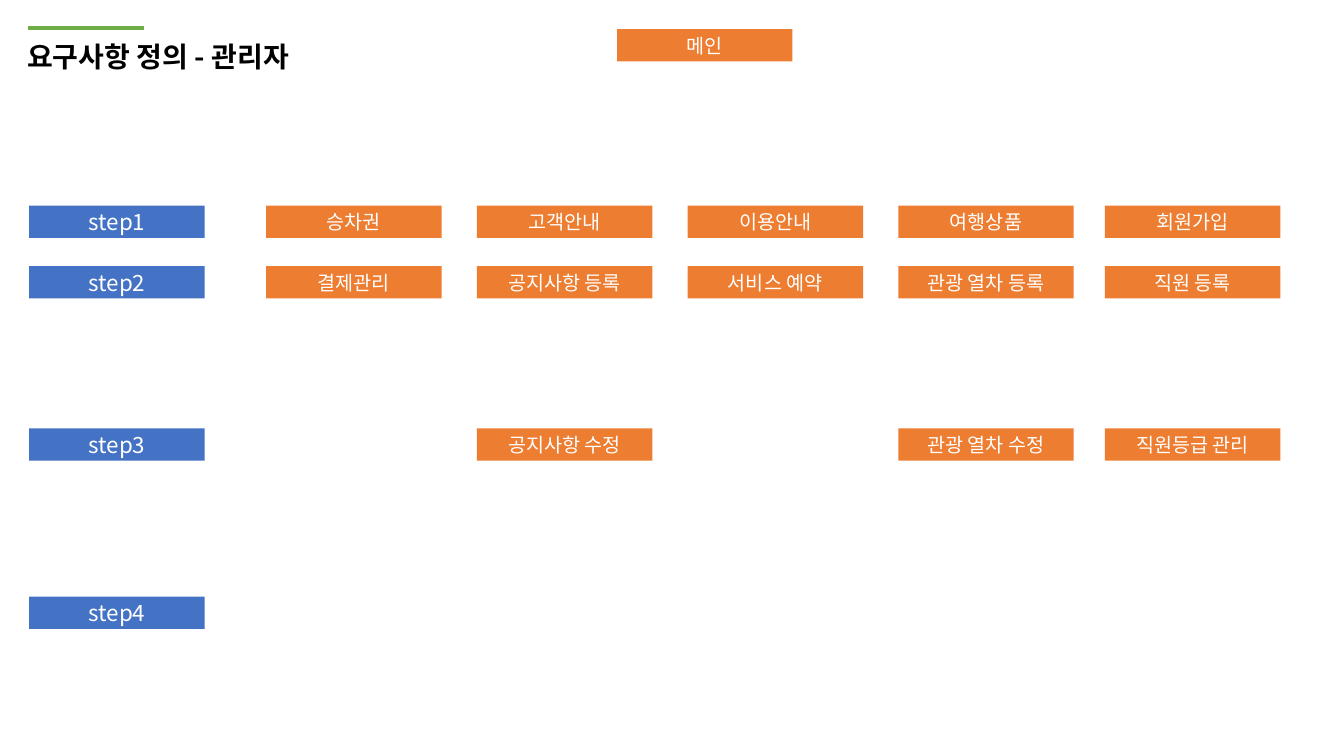
import pptx
import pptx.util
import pptx.dml.color
import pptx.enum.shapes
import pptx.enum.text
import pptx.oxml.ns
import lxml.etree

Inches = pptx.util.Inches
RGBColor = pptx.dml.color.RGBColor

FONT = "Noto Sans CJK KR"
BLACK = RGBColor(0x00, 0x00, 0x00)
WHITE = RGBColor(0xFF, 0xFF, 0xFF)
GREEN = RGBColor(0x70, 0xAD, 0x47)
BLUE = RGBColor(0x44, 0x72, 0xC4)
ORANGE = RGBColor(0xED, 0x7D, 0x31)


def style_text(frame, size, color, bold=False):
    run = frame.paragraphs[0].runs[0]
    run.font.size = pptx.util.Pt(size)
    run.font.bold = bold
    run.font.color.rgb = color
    run.font.name = FONT
    east_asian = lxml.etree.SubElement(run.font._element, pptx.oxml.ns.qn("a:ea"))
    east_asian.set("typeface", FONT)


def add_box(left, top, label, fill, size):
    box = slide.shapes.add_shape(
        pptx.enum.shapes.MSO_SHAPE.RECTANGLE,
        Inches(left), Inches(top), Inches(1.74), Inches(0.32))
    box.shadow.inherit = False
    box.fill.solid()
    box.fill.fore_color.rgb = fill
    box.line.fill.background()
    frame = box.text_frame
    frame.text = label
    frame.word_wrap = True
    frame.vertical_anchor = pptx.enum.text.MSO_ANCHOR.MIDDLE
    frame.paragraphs[0].alignment = pptx.enum.text.PP_ALIGN.CENTER
    style_text(frame, size, WHITE)


deck = pptx.Presentation()
deck.slide_width = Inches(13.33)
deck.slide_height = Inches(7.5)
slide = deck.slides.add_slide(deck.slide_layouts[6])

title = slide.shapes.add_textbox(Inches(0.17), Inches(0.34), Inches(3.98), Inches(0.44))
title.text_frame.text = "요구사항 정의 - 관리자"
title.text_frame.word_wrap = True
title.text_frame.auto_size = pptx.enum.text.MSO_AUTO_SIZE.SHAPE_TO_FIT_TEXT
style_text(title.text_frame, 20, BLACK, bold=True)

title_rule = slide.shapes.add_connector(
    pptx.enum.shapes.MSO_CONNECTOR.STRAIGHT,
    Inches(0.28), Inches(0.28), Inches(1.43), Inches(0.28))
title_rule.line.color.rgb = GREEN
title_rule.line.width = pptx.util.Pt(3)
lxml.etree.SubElement(title_rule._element.spPr, pptx.oxml.ns.qn("a:effectLst"))

add_box(6.12, 0.29, "메인", ORANGE, 14)

menu_lefts = [2.64, 4.73, 6.82, 8.91, 10.96]
steps = [
    ("step1", 2.04, ["승차권", "고객안내", "이용안내", "여행상품", "회원가입"]),
    ("step2", 2.64, ["결제관리", "공지사항 등록", "서비스 예약", "관광 열차 등록", "직원 등록"]),
    ("step3", 4.25, ["", "공지사항 수정", "", "관광 열차 수정", "직원등급 관리"]),
    ("step4", 5.92, []),
]
for step, top, menus in steps:
    add_box(0.29, top, step, BLUE, 16)
    for left, menu in zip(menu_lefts, menus):
        if menu:
            add_box(left, top, menu, ORANGE, 14)

deck.save("out.pptx")
